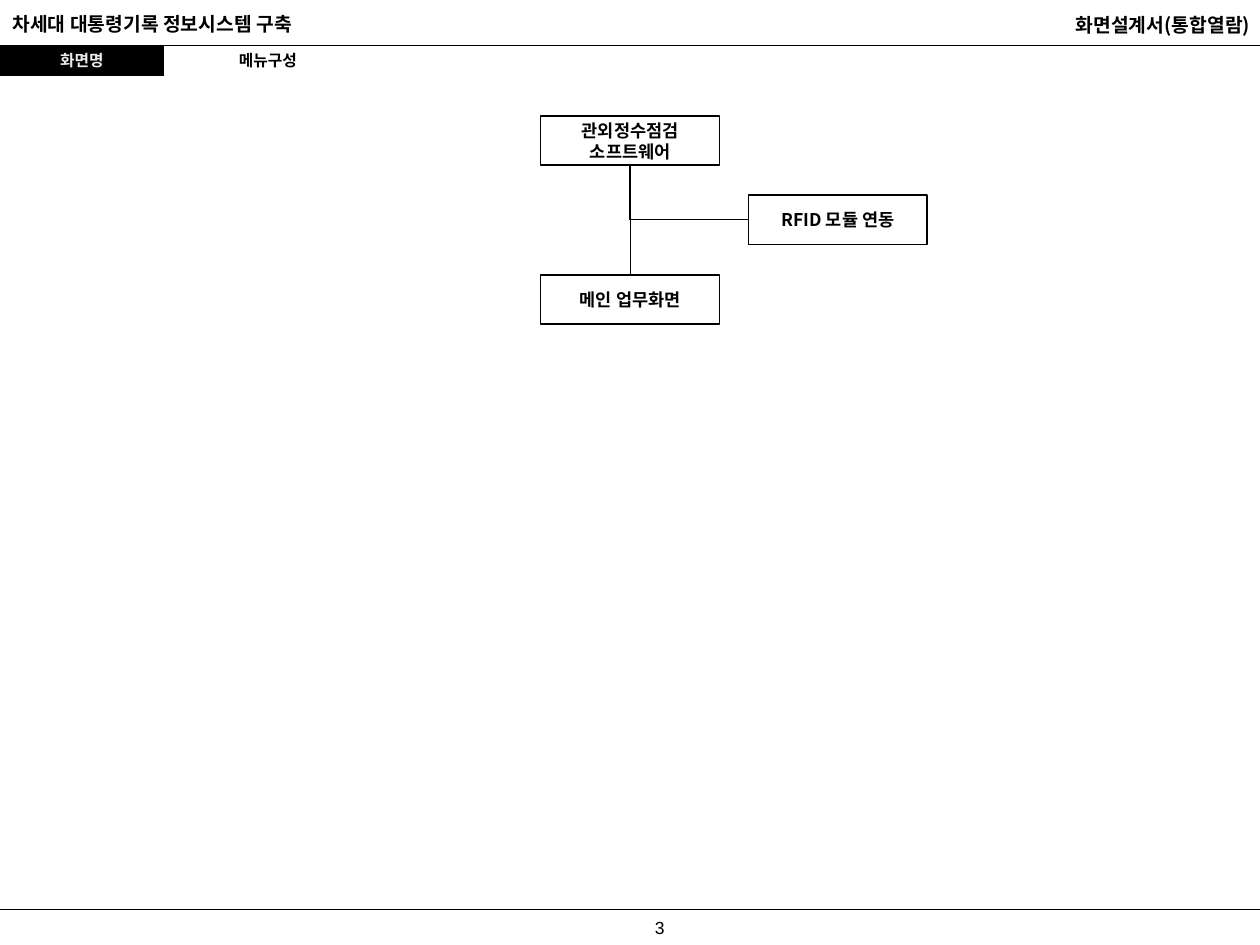
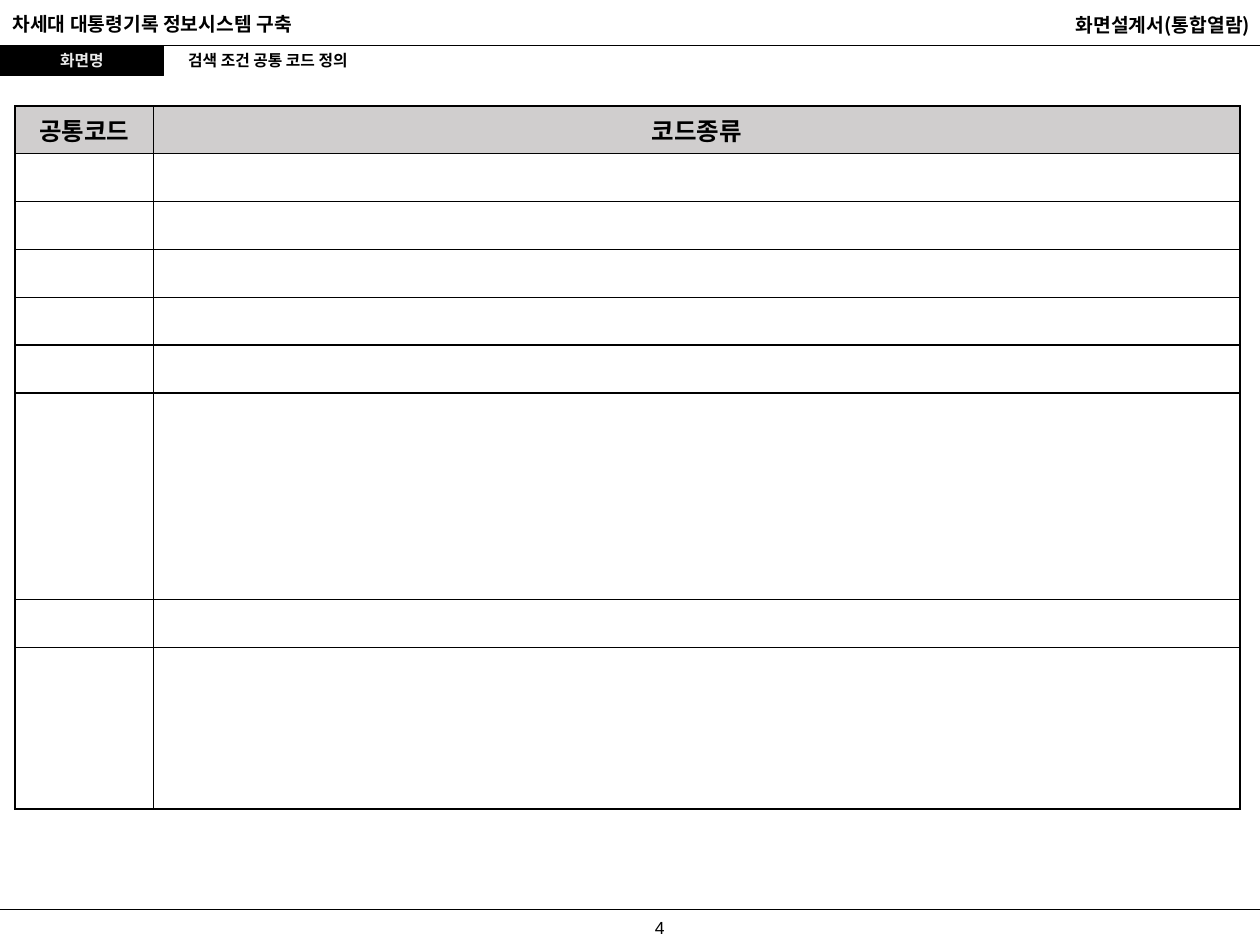
"""Build two screen-design slides: a menu structure and a common code table."""

from dataclasses import dataclass

import lxml.etree
import pptx
import pptx.dml.color
import pptx.enum.shapes
import pptx.enum.text
import pptx.oxml.ns
import pptx.util

Inches = pptx.util.Inches
Align = pptx.enum.text.PP_ALIGN
Anchor = pptx.enum.text.MSO_ANCHOR
AutoSize = pptx.enum.text.MSO_AUTO_SIZE
Connector = pptx.enum.shapes.MSO_CONNECTOR
RECTANGLE = pptx.enum.shapes.MSO_SHAPE.RECTANGLE
qn = pptx.oxml.ns.qn

BLACK = pptx.dml.color.RGBColor(0x00, 0x00, 0x00)
WHITE = pptx.dml.color.RGBColor(0xFF, 0xFF, 0xFF)
LIGHT_GRAY = pptx.dml.color.RGBColor(0xEA, 0xEA, 0xEA)
HEADER_GRAY = pptx.dml.color.RGBColor(0xD0, 0xCE, 0xCE)

KOREAN_FONT = "Noto Sans CJK KR"
NUMBER_FONT = "Arial"
SLIDE_WIDTH = 10
HEADER_LINE_TOP = 0.36
FOOTER_LINE_TOP = 7.22
TITLE_BAND_WIDTH = 1.3
TITLE_BAND_HEIGHT = 0.24

NODE_WIDTH = 1.42
NODE_HEIGHT = 0.39
NODE_TOP = 0.92
NODE_STEP = 0.63

COLUMN_WIDTHS = (1.1, 8.62)
ROW_HEIGHTS = (0.38,) * 6 + (1.64, 0.38, 1.28)
TABLE_HEADINGS = ("공통코드", "코드종류")


@dataclass(frozen=True)
class TextStyle:
    """Look of a paragraph."""

    size: float
    color: pptx.dml.color.RGBColor = BLACK
    align: int = Align.CENTER
    bold: bool = True
    font: str = KOREAN_FONT


@dataclass(frozen=True)
class Label:
    """Text box in the header or footer, in inches."""

    text: str
    left: float
    top: float
    width: float
    height: float
    style: TextStyle


@dataclass(frozen=True)
class Node:
    """Menu box placed by its left edge and its level."""

    text: str
    left: float
    level: int


TITLE_STYLE = TextStyle(9)
BAND_STYLE = TextStyle(9, LIGHT_GRAY)
NODE_STYLE = TextStyle(10)
TABLE_STYLE = TextStyle(14)
NUMBER_STYLE = TextStyle(10, bold=False, font=NUMBER_FONT)

HEADER_LABELS = (
    Label("화면설계서(통합열람)", 5.87, 0.06, 4.15, 0.28, TextStyle(11, align=Align.RIGHT)),
    Label("차세대 대통령기록 정보시스템 구축", 0, 0.05, 4.45, 0.29, TextStyle(11, align=Align.LEFT)),
)
SOFTWARE_NODE = Node("관외정수점검\n소프트웨어", 4.29, 0)
RFID_NODE = Node("RFID 모듈 연동", 5.94, 1)
MAIN_NODE = Node("메인 업무화면", 4.29, 2)


def write_text(frame, text: str, style: TextStyle) -> None:
    """Put styled text into a text frame."""
    frame.text = text
    for paragraph in frame.paragraphs:
        paragraph.alignment = style.align
        font = paragraph.font
        font.size = pptx.util.Pt(style.size)
        font.bold = style.bold
        font.name = style.font
        font.color.rgb = style.color
        east_asian = lxml.etree.SubElement(font._element, qn("a:ea"))
        east_asian.set("typeface", style.font)


def add_label(slide, label: Label) -> None:
    """Add a text box that grows with its text."""
    box = slide.shapes.add_textbox(
        Inches(label.left), Inches(label.top), Inches(label.width), Inches(label.height)
    )
    frame = box.text_frame
    frame.word_wrap = True
    frame.auto_size = AutoSize.SHAPE_TO_FIT_TEXT
    write_text(frame, label.text, label.style)


def add_box(slide, left: float, top: float, width: float, height: float, text: str,
            style: TextStyle, fill: pptx.dml.color.RGBColor, line_width: float):
    """Add a rectangle with centred text."""
    shape = slide.shapes.add_shape(
        RECTANGLE, Inches(left), Inches(top), Inches(width), Inches(height)
    )
    shape.shadow.inherit = False
    shape.fill.solid()
    shape.fill.fore_color.rgb = fill
    shape.line.color.rgb = BLACK
    shape.line.width = pptx.util.Pt(line_width)
    shape.text_frame.vertical_anchor = Anchor.MIDDLE
    write_text(shape.text_frame, text, style)
    return shape


def add_line(slide, kind: int, start: tuple[float, float], end: tuple[float, float],
             width: float):
    """Add a black connector without a shadow."""
    connector = slide.shapes.add_connector(kind, *map(Inches, start + end))
    connector.line.color.rgb = BLACK
    connector.line.width = pptx.util.Pt(width)
    lxml.etree.SubElement(connector._element.spPr, qn("a:effectLst"))
    return connector


def add_screen(presentation, title: str, number: int):
    """Add a slide with the shared header, title band and footer."""
    slide = presentation.slides.add_slide(presentation.slide_layouts[5])
    for top in (HEADER_LINE_TOP, FOOTER_LINE_TOP):
        add_line(slide, Connector.STRAIGHT, (0, top), (SLIDE_WIDTH, top), 0.75)
    for label in HEADER_LABELS:
        add_label(slide, label)
    band = add_box(slide, 0, HEADER_LINE_TOP, TITLE_BAND_WIDTH, TITLE_BAND_HEIGHT,
                   "화면명", BAND_STYLE, BLACK, 0.75)
    band.text_frame.word_wrap = False
    add_label(slide, Label(str(number), 4.77, 7.23, 0.93, 0.27, NUMBER_STYLE))

    placeholder = slide.shapes.title
    placeholder.left, placeholder.top = Inches(TITLE_BAND_WIDTH), Inches(HEADER_LINE_TOP)
    placeholder.width, placeholder.height = Inches(1.65), Inches(TITLE_BAND_HEIGHT)
    frame = placeholder.text_frame
    frame.word_wrap = False
    frame.auto_size = AutoSize.NONE
    frame.vertical_anchor = Anchor.MIDDLE
    write_text(frame, title, TITLE_STYLE)
    return slide


def add_node(slide, node: Node):
    """Add one menu box."""
    top = NODE_TOP + node.level * NODE_STEP
    return add_box(slide, node.left, top, NODE_WIDTH, NODE_HEIGHT,
                   node.text, NODE_STYLE, WHITE, 1)


def add_menu(slide) -> None:
    """Draw the menu boxes and the lines between them."""
    software, rfid, main_screen = (
        add_node(slide, node) for node in (SOFTWARE_NODE, RFID_NODE, MAIN_NODE)
    )
    trunk_x = SOFTWARE_NODE.left + NODE_WIDTH / 2
    trunk_top = NODE_TOP + NODE_HEIGHT
    trunk = add_line(slide, Connector.STRAIGHT, (trunk_x, trunk_top),
                     (trunk_x, NODE_TOP + 2 * NODE_STEP), 0.5)
    trunk.begin_connect(software, 2)
    trunk.end_connect(main_screen, 0)
    branch_y = NODE_TOP + NODE_STEP + NODE_HEIGHT / 2
    branch = add_line(slide, Connector.ELBOW, (RFID_NODE.left, branch_y),
                      (trunk_x, trunk_top), 0.5)
    branch.begin_connect(rfid, 1)
    branch.end_connect(software, 2)
    branch._element.spPr.find(qn("a:prstGeom")).set("prst", "bentConnector2")


def add_borders(cell) -> None:
    """Give a table cell thin black borders."""
    properties = cell._tc.get_or_add_tcPr()
    for index, side in enumerate(("a:lnL", "a:lnR", "a:lnT", "a:lnB")):
        border = lxml.etree.Element(qn(side), w=str(pptx.util.Pt(1)))
        fill = lxml.etree.SubElement(border, qn("a:solidFill"))
        lxml.etree.SubElement(fill, qn("a:srgbClr"), val=str(BLACK))
        properties.insert(index, border)


def add_code_table(slide) -> None:
    """Add the common code table with its blank rows."""
    table = slide.shapes.add_table(
        len(ROW_HEIGHTS), len(COLUMN_WIDTHS), Inches(0.12), Inches(0.84),
        Inches(sum(COLUMN_WIDTHS)), Inches(sum(ROW_HEIGHTS))
    ).table
    table.horz_banding = False
    for column, width in zip(table.columns, COLUMN_WIDTHS):
        column.width = Inches(width)
    for row_index, (row, height) in enumerate(zip(table.rows, ROW_HEIGHTS)):
        row.height = Inches(height)
        for cell, heading in zip(row.cells, TABLE_HEADINGS):
            cell.margin_top = cell.margin_bottom = Inches(0.03)
            cell.vertical_anchor = Anchor.MIDDLE
            cell.fill.solid()
            cell.fill.fore_color.rgb = WHITE if row_index else HEADER_GRAY
            add_borders(cell)
            if row_index == 0:
                write_text(cell.text_frame, heading, TABLE_STYLE)


def main() -> None:
    """Build and save the presentation."""
    presentation = pptx.Presentation()
    presentation.slide_width = Inches(SLIDE_WIDTH)
    presentation.slide_height = Inches(7.5)
    add_menu(add_screen(presentation, "메뉴구성", 3))
    add_code_table(add_screen(presentation, "검색 조건 공통 코드 정의", 4))
    presentation.save("out.pptx")


if __name__ == "__main__":
    main()
